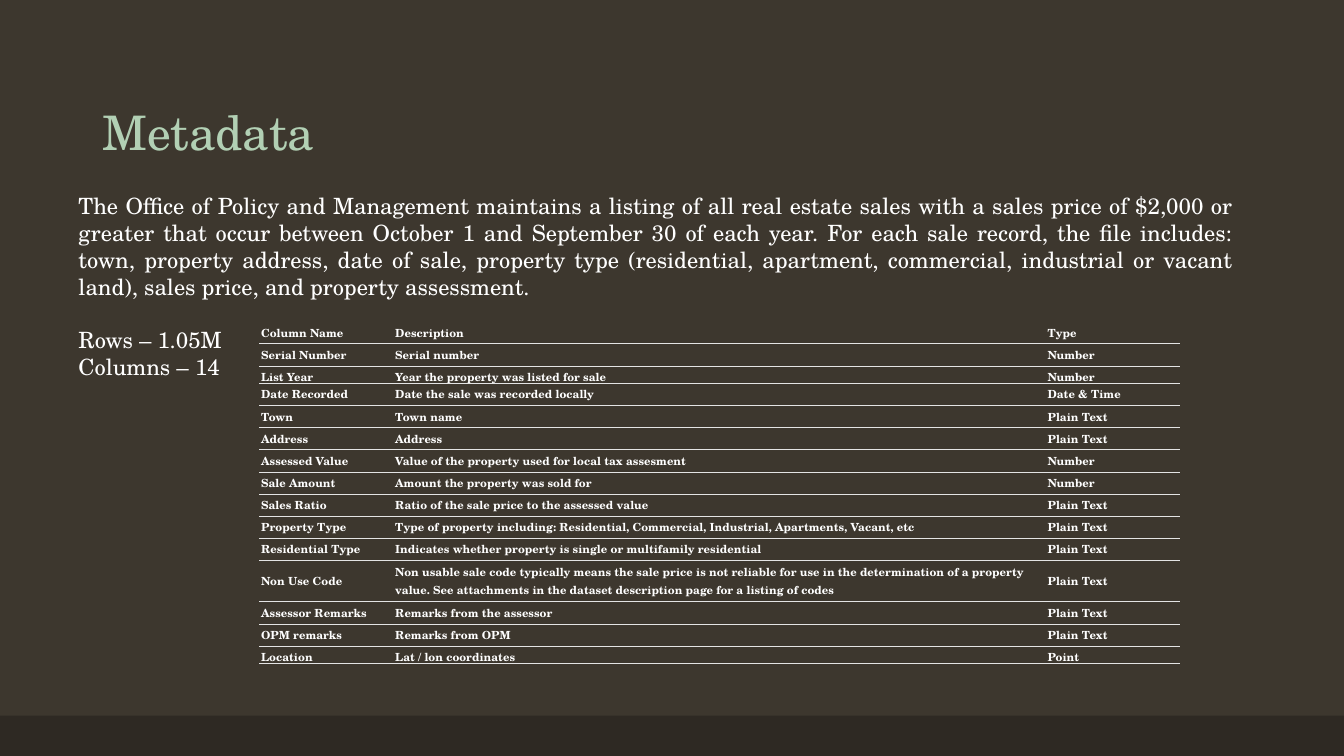
from lxml import etree
from pptx import Presentation
from pptx.dml.color import RGBColor
from pptx.enum.shapes import MSO_SHAPE
from pptx.enum.text import MSO_ANCHOR, MSO_AUTO_SIZE, PP_ALIGN
from pptx.oxml.ns import qn
from pptx.util import Inches, Pt

RECTANGLE = MSO_SHAPE.RECTANGLE
LEFT, JUSTIFY = PP_ALIGN.LEFT, PP_ALIGN.JUSTIFY
MIDDLE, BOTTOM = MSO_ANCHOR.MIDDLE, MSO_ANCHOR.BOTTOM
FIT_SHAPE, NO_FIT = MSO_AUTO_SIZE.SHAPE_TO_FIT_TEXT, MSO_AUTO_SIZE.NONE

FONT = "TeX Gyre Schola"
COLORS = {"background": "3D372E", "footer": "2E2923", "title": "B2D0B4",
          "text": "FFFFFF", "rule": "E4E4E4"}
SLIDE_WIDTH, SLIDE_HEIGHT = 13.33, 7.5
FOOTER_HEIGHT = 0.4

SUMMARY = (
    "The Office of Policy and Management maintains a listing of all real estate sales "
    "with a sales price of $2,000 or greater that occur between October 1 and "
    "September 30 of each year. For each sale record, the file includes: town, property "
    "address, date of sale, property type (residential, apartment, commercial, "
    "industrial or vacant land), sales price, and property assessment."
)
DATASET_SIZE = ["Rows – 1.05M", "Columns – 14"]

FIELDS = [
    ("Column Name", "Description", "Type"),
    ("Serial Number", "Serial number", "Number"),
    ("List Year", "Year the property was listed for sale", "Number"),
    ("Date Recorded", "Date the sale was recorded locally", "Date & Time"),
    ("Town", "Town name", "Plain Text"),
    ("Address", "Address", "Plain Text"),
    ("Assessed Value", "Value of the property used for local tax assesment", "Number"),
    ("Sale Amount", "Amount the property was sold for", "Number"),
    ("Sales Ratio", "Ratio of the sale price to the assessed value", "Plain Text"),
    ("Property Type", "Type of property including: Residential, Commercial, "
     "Industrial, Apartments, Vacant, etc", "Plain Text"),
    ("Residential Type", "Indicates whether property is single or multifamily residential",
     "Plain Text"),
    ("Non Use Code", "Non usable sale code typically means the sale price is not reliable "
     "for use in the determination of a property value. See attachments in the dataset "
     "description page for a listing of codes", "Plain Text"),
    ("Assessor Remarks", "Remarks from the assessor", "Plain Text"),
    ("OPM remarks", "Remarks from OPM", "Plain Text"),
    ("Location", "Lat / lon coordinates", "Point"),
]
COLUMN_WIDTHS = [1.33, 6.47, 1.33]
ROW_HEIGHT = 0.22
SPECIAL_HEIGHTS = {"Column Name": 0.21, "List Year": 0.12,
                   "Non Use Code": 0.41, "Location": 0.12}


def rgb(name):
    return RGBColor.from_string(COLORS[name])


def write(paragraph, text, size=16, color="text", bold=False, align=LEFT,
          line_spacing=None, space_before=0):
    paragraph.alignment = align
    paragraph.line_spacing = line_spacing
    paragraph.space_before = Pt(space_before)
    run = paragraph.add_run()
    run.text = text
    run.font.name, run.font.size, run.font.bold = FONT, Pt(size), bold
    run.font.color.rgb = rgb(color)


def place(shape, left, top, width, height):
    shape.left, shape.top = Inches(left), Inches(top)
    shape.width, shape.height = Inches(width), Inches(height)


def add_footer_band(slide):
    band = slide.shapes.add_shape(RECTANGLE, 0, 0, 0, 0)
    place(band, 0, SLIDE_HEIGHT - FOOTER_HEIGHT, SLIDE_WIDTH, FOOTER_HEIGHT)
    band.shadow.inherit = False
    band.fill.solid()
    band.fill.fore_color.rgb = rgb("footer")
    band.line.fill.background()


def set_title(slide, text):
    title = slide.shapes.title
    place(title, 0.92, 0.4, 11.5, 1.25)
    frame = title.text_frame
    frame.vertical_anchor, frame.auto_size = BOTTOM, NO_FIT
    write(frame.paragraphs[0], text, size=34, color="title", line_spacing=0.9)


def add_summary(slide):
    summary = slide.shapes.add_textbox(0, 0, 0, 0)
    place(summary, 0.68, 1.86, 11.65, 1.99)
    frame = summary.text_frame
    frame.word_wrap, frame.auto_size = True, FIT_SHAPE
    write(frame.paragraphs[0], SUMMARY, align=JUSTIFY)
    for index, line in enumerate(DATASET_SIZE):
        write(frame.add_paragraph(), line, align=JUSTIFY,
              space_before=19 if index == 0 else 0)


def set_borders(cell, ruled_sides):
    """Rule the given sides (L, R, T, B) and clear the others."""
    properties = cell._tc.get_or_add_tcPr()
    for position, side in enumerate("LRTB"):
        border = etree.Element(qn(f"a:ln{side}"), w=str(Pt(0.6)))
        if side in ruled_sides:
            fill = etree.SubElement(border, qn("a:solidFill"))
            etree.SubElement(fill, qn("a:srgbClr"), val=COLORS["rule"])
        else:
            etree.SubElement(border, qn("a:noFill"))
        properties.insert(position, border)


def fill_cell(cell, text, is_header):
    cell.fill.solid()
    cell.fill.fore_color.rgb = rgb("background")
    cell.vertical_anchor = MIDDLE
    cell.margin_left = cell.margin_right = cell.margin_bottom = Inches(0.02)
    cell.margin_top = Inches(0.01 if is_header else 0.02)
    write(cell.text_frame.paragraphs[0], text, size=8, bold=True)
    set_borders(cell, "B" if is_header else "TB")


def add_field_table(slide):
    heights = [SPECIAL_HEIGHTS.get(field[0], ROW_HEIGHT) for field in FIELDS]
    table = slide.shapes.add_table(
        len(FIELDS), len(COLUMN_WIDTHS), Inches(2.57), Inches(3.2),
        Inches(sum(COLUMN_WIDTHS)), Inches(sum(heights))).table
    table.first_row = table.horz_banding = False
    for column, width in zip(table.columns, COLUMN_WIDTHS):
        column.width = Inches(width)
    for index, (row, height, field) in enumerate(zip(table.rows, heights, FIELDS)):
        row.height = Inches(height)
        for cell, text in zip(row.cells, field):
            fill_cell(cell, text, is_header=index == 0)


def main():
    deck = Presentation()
    deck.slide_width, deck.slide_height = Inches(SLIDE_WIDTH), Inches(SLIDE_HEIGHT)
    slide = deck.slides.add_slide(deck.slide_layouts.get_by_name("Title Only"))
    slide.background.fill.solid()
    slide.background.fill.fore_color.rgb = rgb("background")
    add_footer_band(slide)
    set_title(slide, "Metadata")
    add_summary(slide)
    add_field_table(slide)
    deck.save("out.pptx")


if __name__ == "__main__":
    main()
